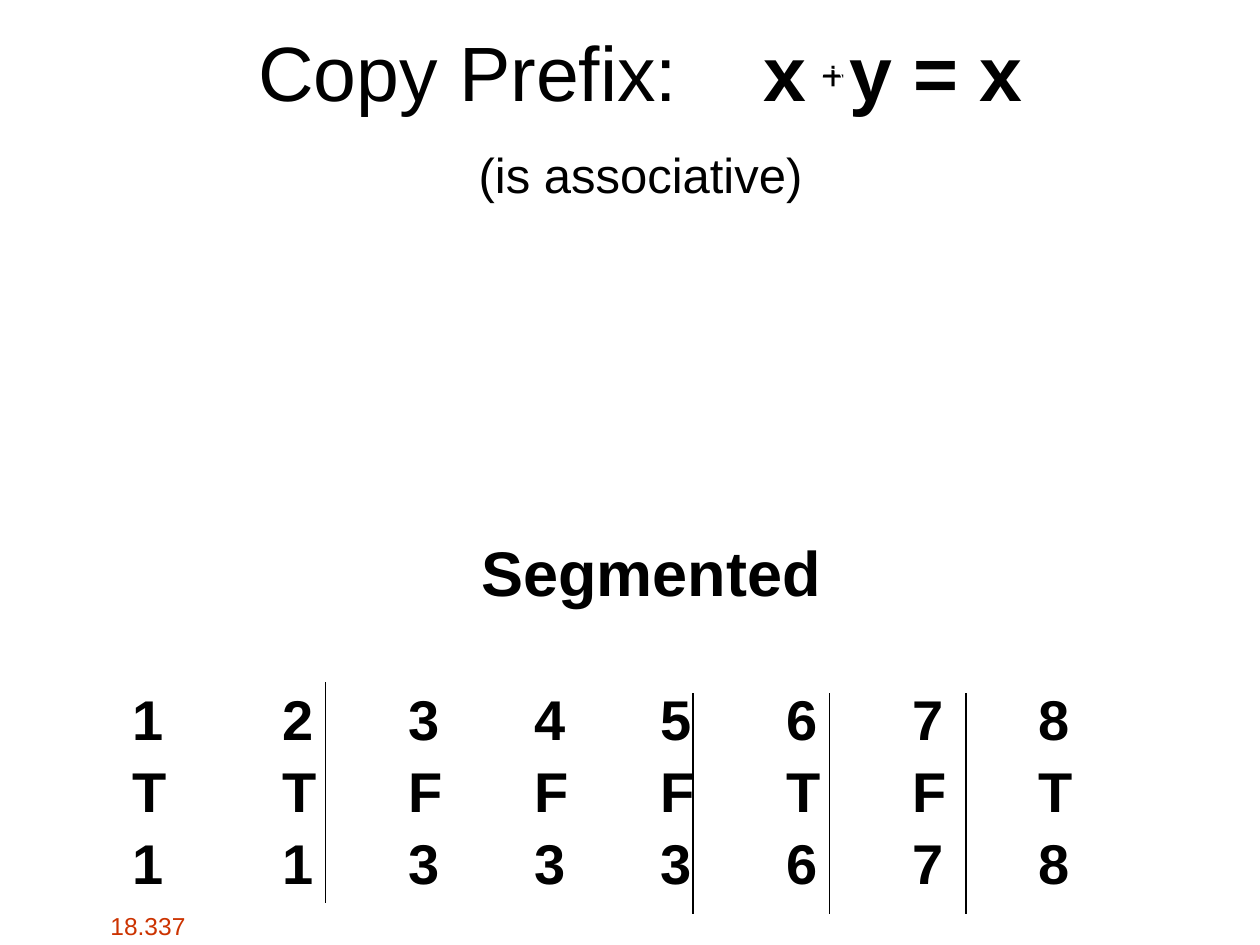
from dataclasses import dataclass

from pptx import Presentation
from pptx.dml.color import RGBColor
from pptx.enum.shapes import MSO_CONNECTOR, MSO_SHAPE
from pptx.enum.text import MSO_ANCHOR, MSO_AUTO_SIZE, PP_ALIGN
from pptx.oxml.ns import qn
from pptx.util import Pt

STRAIGHT = MSO_CONNECTOR.STRAIGHT
ELLIPSE = MSO_SHAPE.OVAL
TOP = MSO_ANCHOR.TOP
GROW, FIXED = MSO_AUTO_SIZE.SHAPE_TO_FIT_TEXT, MSO_AUTO_SIZE.NONE
LEFT, CENTER = PP_ALIGN.LEFT, PP_ALIGN.CENTER


@dataclass(frozen=True)
class Theme:
    """Colours, type sizes and line width of the deck."""
    font: str = "Arial"
    ink: RGBColor = RGBColor(0, 0, 0)
    paper: RGBColor = RGBColor(255, 255, 255)
    accent: RGBColor = RGBColor(0xCC, 0x33, 0x00)
    title: int = 44
    heading: int = 36
    row: int = 32
    subtitle: int = 28
    operator: int = 24
    footer: int = 14
    rule: float = 0.75


THEME = Theme()
VALUES = ("12345678", "TTFFFTFT", "11333678")


def add_box(shapes, box, wrap=True):
    """Add a top-anchored text box and return its text frame."""
    frame = shapes.add_textbox(*map(Pt, box)).text_frame
    frame.word_wrap = wrap
    frame.auto_size = FIXED if wrap else GROW
    frame.vertical_anchor = TOP
    return frame


def add_span(para, text, size, color=THEME.ink, bold=False, tracking=0):
    """Append one formatted span to a paragraph."""
    span = para.add_run()
    span.text = text
    font = span.font
    font.name, font.size, font.bold = THEME.font, Pt(size), bold
    font.color.rgb = color
    if tracking:
        font._element.set("spc", str(round(tracking * 100)))


def add_title(page, box):
    """Write the formula and the remark below it."""
    frame = add_box(page.shapes, box)
    formula, remark = frame.paragraphs[0], frame.add_paragraph()
    formula.alignment = remark.alignment = CENTER
    remark.space_before = Pt(15.7)
    add_span(formula, "Copy Prefix:", THEME.title)
    add_span(formula, " ", THEME.title, tracking=36.7)
    add_span(formula, "x", THEME.title, bold=True)
    add_span(formula, " ", THEME.title, bold=True, tracking=12.2)
    add_span(formula, "y = x", THEME.title, bold=True)
    add_span(remark, "(is associative)", THEME.subtitle)


def add_operator(page, box):
    """Place the plus sign and its ring as one group."""
    left, top, _, _ = box
    group = page.shapes.add_group_shape()
    frame = add_box(group.shapes, box, wrap=False)
    add_span(frame.paragraphs[0], "+", THEME.operator)
    ring = group.shapes.add_shape(ELLIPSE, Pt(left + 7.2), Pt(top + 15.6), Pt(12), Pt(12))
    ring.shadow.inherit = False
    ring.fill.background()
    ring.line.color.rgb = THEME.paper
    ring.line.width = Pt(THEME.rule)


def add_segments(page, box):
    """Write the heading and the tabbed rows of values."""
    frame = add_box(page.shapes, box)
    heading = frame.paragraphs[0]
    heading.alignment = CENTER
    heading.line_spacing = 0.9
    add_span(heading, "Segmented", THEME.heading, bold=True)
    for index, values in enumerate(VALUES):
        para = frame.add_paragraph()
        para.alignment = LEFT
        para.line_spacing = 0.9
        para.space_before = Pt(6.5 if index else 47.3)
        properties = para._p.get_or_add_pPr()
        properties.set("marL", str(Pt(22.5)))
        properties.set("indent", str(Pt(-13.6)))
        properties.set("defTabSz", str(Pt(72)))
        add_span(para, "\t".join(values), THEME.row, bold=True)


def add_divider(page, left, top, height):
    """Draw one vertical segment boundary."""
    line = page.shapes.add_connector(STRAIGHT, Pt(left), Pt(top), Pt(left), Pt(top + height))
    line.line.color.rgb = THEME.ink
    line.line.width = Pt(THEME.rule)
    properties = line._element.spPr
    properties.append(properties.makeelement(qn("a:effectLst"), {}))


def add_footer(page, box):
    """Write the course number."""
    frame = add_box(page.shapes, box, wrap=False)
    add_span(frame.paragraphs[0], "18.337", THEME.footer, color=THEME.accent)


def main():
    """Build the deck and save it."""
    deck = Presentation()
    deck.slide_width, deck.slide_height = Pt(720), Pt(540)
    page = deck.slides.add_slide(deck.slide_layouts[6])
    add_footer(page, (56, 517, 57.4, 23.8))
    add_title(page, (42, 10.3, 648, 110))
    add_segments(page, (60, 306, 624, 192))
    for left, top in ((186, 390), (396, 396), (474, 396), (552, 396)):
        add_divider(page, left, top, 126)
    add_operator(page, (462, 24, 27.4, 36))
    deck.save("out.pptx")


if __name__ == "__main__":
    main()
